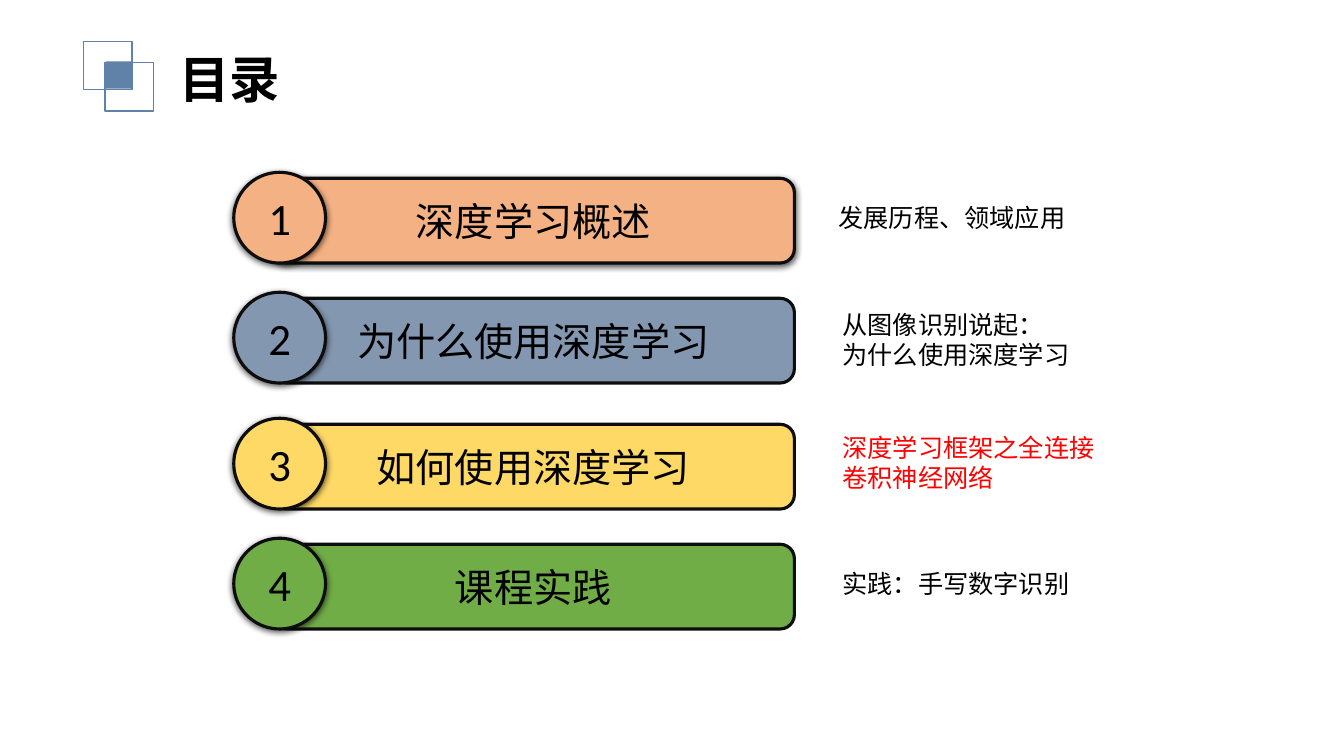
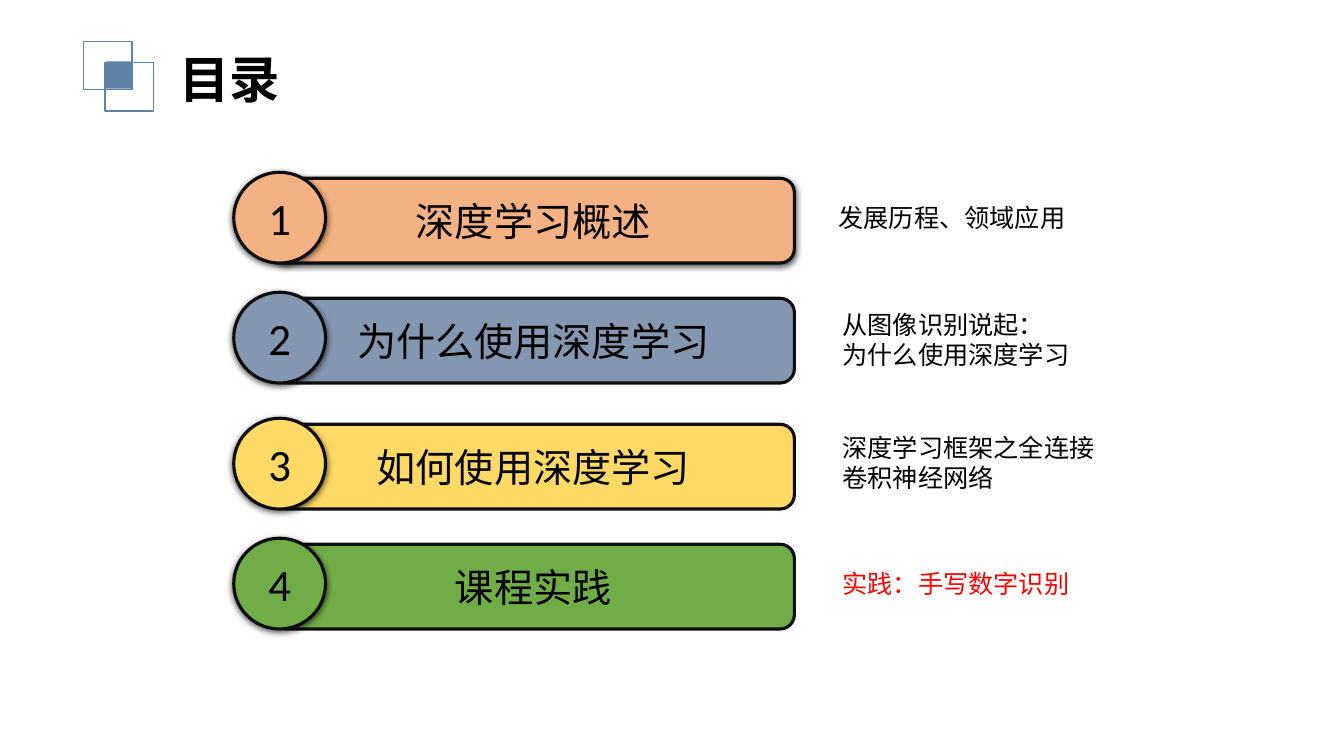
import pptx
import pptx.util
import pptx.dml.color
import pptx.enum.shapes
import pptx.enum.text
from dataclasses import dataclass
from lxml import etree

Pt = pptx.util.Pt
RGB = pptx.dml.color.RGBColor.from_string
SHAPE = pptx.enum.shapes.MSO_SHAPE
ALIGN = pptx.enum.text.PP_ALIGN
ANCHOR = pptx.enum.text.MSO_ANCHOR
FIT = pptx.enum.text.MSO_AUTO_SIZE
A = "http://schemas.openxmlformats.org/drawingml/2006/main"
CJK = "Noto Sans CJK SC"


# Colours and type in one place
class Theme:
    ink, outline, accent, highlight = "000000", "0D0D0D", "6082A9", "FF0000"
    fonts = {
        "title": {"name": CJK, "size": Pt(36), "bold": True},
        "bar": {"name": CJK, "size": Pt(28)},
        "number": {"name": "Calibri", "size": Pt(32)},
        "note": {"name": CJK, "size": Pt(18)},
    }
    outline_width, emblem_width = 2.25, 1


@dataclass
class Topic:
    top: float
    fill: str
    title: str
    note: tuple
    note_box: tuple  # left, top and width, relative to the row
    bar_shadow: bool = False


TOPICS = [
    Topic(123.1, "F4B183", "深度学习概述", ("发展历程、领域应用",), (424.8, 18, 281.5), True),
    Topic(208.8, "8497B0", "为什么使用深度学习", ("从图像识别说起：", "为什么使用深度学习"),
          (427.7, 8.6, 321.8)),
    Topic(298.8, "FFD966", "如何使用深度学习", ("深度学习框架之全连接", "卷积神经网络"),
          (427.7, 6.5, 324.7)),
    Topic(384.5, "70AD47", "课程实践", ("实践：手写数字识别",), (427.7, 18, 216)),
]
ROW_LEFT = 167


def write(tf, lines, style, color=Theme.ink, align=ALIGN.LEFT):
    tf.word_wrap = True
    for i, line in enumerate(lines):
        p = tf.paragraphs[0] if i == 0 else tf.add_paragraph()
        p.alignment = align
        r = p.add_run()
        r.text = line
        r.font.color.rgb = RGB(color)
        for key, value in Theme.fonts[style].items():
            setattr(r.font, key, value)
        ea = etree.SubElement(r.font._element, f"{{{A}}}ea")
        ea.set("typeface", CJK)


def add_text(s, box, lines, style, color=Theme.ink):
    tf = s.shapes.add_textbox(*map(Pt, box)).text_frame
    write(tf, lines, style, color)
    tf.auto_size = FIT.SHAPE_TO_FIT_TEXT


def add_shape(s, kind, box, fill=None, line=None, width=1):
    sp = s.shapes.add_shape(kind, *map(Pt, box))
    sp.shadow.inherit = False
    if fill:
        sp.fill.solid()
        sp.fill.fore_color.rgb = RGB(fill)
    else:
        sp.fill.background()
    if line:
        sp.line.color.rgb = RGB(line)
        sp.line.width = Pt(width)
    else:
        sp.line.fill.background()
    return sp


def add_shadow(sp):
    effects = sp.element.spPr.find(f"{{{A}}}effectLst")
    shadow = etree.SubElement(effects, f"{{{A}}}outerShdw", blurRad=str(Pt(4.5)),
                              dist=str(Pt(1.5)), dir="5400000", algn="ctr", rotWithShape="0")
    color = etree.SubElement(shadow, f"{{{A}}}srgbClr", val="000000")
    etree.SubElement(color, f"{{{A}}}alpha", val="63000")


def add_emblem(s, x, y):
    """Two overlapping squares with a filled overlap."""
    side, step = 34.6, 15.1
    squares = [
        add_shape(s, SHAPE.RECTANGLE, (x + d, y + d, side, side),
                  line=Theme.accent, width=Theme.emblem_width)
        for d in (0, step)
    ]
    overlap = add_shape(s, SHAPE.RECTANGLE, (x + 15.8, y + 14.4, 18, 19.4), Theme.accent)
    return squares + [overlap]


def add_topic(s, x, y, number, topic, color):
    # Bar, then the number circle over its left end
    parts = [
        (SHAPE.ROUNDED_RECTANGLE, (x + 27.4, y + 4.3, 373, 60.5), topic.title, "bar",
         topic.bar_shadow),
        (SHAPE.OVAL, (x, y, 65.5, 64.8), str(number), "number", True),
    ]
    for kind, box, text, style, shadowed in parts:
        sp = add_shape(s, kind, box, topic.fill, Theme.outline, Theme.outline_width)
        if shadowed:
            add_shadow(sp)
        sp.text_frame.vertical_anchor = ANCHOR.MIDDLE
        write(sp.text_frame, [text], style, align=ALIGN.CENTER)

    # Note beside the bar
    dx, dy, width = topic.note_box
    height = 28.8 if len(topic.note) == 1 else 51.1
    add_text(s, (x + dx, y + dy, width, height), topic.note, "note", color)


def add_contents(prs, layout, current):
    """Contents slide with the note of the current topic highlighted."""
    s = prs.slides.add_slide(layout)
    for number, topic in enumerate(TOPICS, 1):
        color = Theme.highlight if number == current else Theme.ink
        add_topic(s, ROW_LEFT, topic.top, number, topic, color)
    add_text(s, (121, 31, 91.4, 51.1), ["目录"], "title")
    return s


def main():
    prs = pptx.Presentation()
    prs.slide_width, prs.slide_height = Pt(960), Pt(540)
    layout = prs.slide_layouts[6]
    slides = [add_contents(prs, layout, current) for current in (3, 4)]

    # The emblem belongs to the layout that the slides share
    for sp in add_emblem(slides[0], 59.8, 29.5):
        layout.shapes.element.append(sp.element)
    prs.save("out.pptx")


if __name__ == "__main__":
    main()
